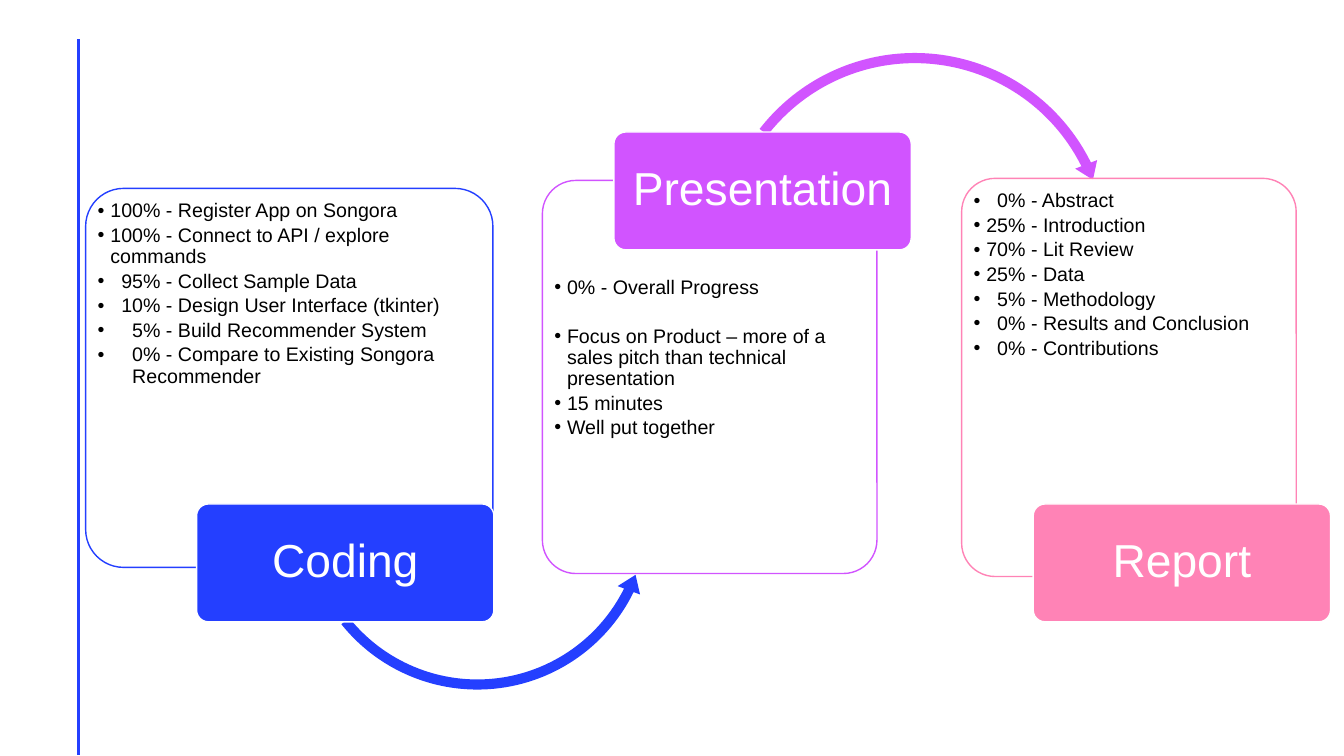
from lxml import etree
from pptx import Presentation
from pptx.dml.color import RGBColor
from pptx.enum.shapes import MSO_CONNECTOR, MSO_SHAPE
from pptx.enum.text import MSO_ANCHOR, MSO_AUTO_SIZE, PP_ALIGN
from pptx.oxml.ns import qn
from pptx.util import Pt

ROUNDED = MSO_SHAPE.ROUNDED_RECTANGLE
ARROW_UNDER = MSO_SHAPE.LEFT_CIRCULAR_ARROW
ARROW_OVER = MSO_SHAPE.CIRCULAR_ARROW
STRAIGHT = MSO_CONNECTOR.STRAIGHT
TOP, MIDDLE = MSO_ANCHOR.TOP, MSO_ANCHOR.MIDDLE
LEFT, CENTER = PP_ALIGN.LEFT, PP_ALIGN.CENTER
NO_AUTOFIT = MSO_AUTO_SIZE.NONE

BLUE = RGBColor(0x24, 0x3F, 0xFF)
PURPLE = RGBColor(0xD1, 0x54, 0xFF)
PINK = RGBColor(0xFF, 0x83, 0xB6)
WHITE = RGBColor(0xFF, 0xFF, 0xFF)
BLACK = RGBColor(0, 0, 0)

# Content: boxes are left, top, width, height in points
STAGES = [
    {"name": "Coding", "color": BLUE,
     "card": (61.2, 134.6, 290.9, 270.7), "list_top": 141.1, "label": (140.4, 360),
     "arrow": (ARROW_UNDER, 211.7, 239, 258.5, (0.028, 3.429, 15.758, 84.819, 0.033)),
     "tasks": ["100% - Register App on Songora",
               "100% - Connect to API / explore commands",
               "95% - Collect Sample Data",
               "10% - Design User Interface (tkinter)",
               "5% - Build Recommender System",
               "0% - Compare to Existing Songora Recommender"]},
    {"name": "Presentation", "color": PURPLE,
     "card": (387.4, 128.9, 239, 280.8), "list_top": 195.8, "label": (438.5, 94.3),
     "arrow": (ARROW_OVER, 508.3, 33.1, 290.2, (0.025, 3.03, 200.168, 130.708, 0.029)),
     "tasks": ["0% - Overall Progress",
               "Focus on Product – more of a sales pitch than technical presentation",
               "15 minutes",
               "Well put together"]},
    {"name": "Report", "color": PINK,
     "card": (686.9, 127.4, 239, 284.4), "list_top": 133.9, "label": (738, 360),
     "arrow": None,
     "tasks": ["0% - Abstract", "25% - Introduction", "70% - Lit Review", "25% - Data",
               "5% - Methodology", "0% - Results and Conclusion", "0% - Contributions"]},
]
NOTES_START = "Focus on Product"  # a gap sets the notes apart from the progress

LABEL_SIZE = (212.4, 84.2)
CARD_PAD = 6.2
LIST_FOOT = 64
HANG = 9
DIGIT_WIDTH = 7.8
NOTES_GAP = 17.3

LIST_FRAME = {"word_wrap": True, "auto_size": NO_AUTOFIT, "vertical_anchor": TOP,
              "margin_left": Pt(2.4), "margin_right": Pt(2.4),
              "margin_top": Pt(2.4), "margin_bottom": Pt(2.4)}
LABEL_FRAME = {"word_wrap": True, "vertical_anchor": MIDDLE,
               "margin_left": Pt(7), "margin_right": Pt(7),
               "margin_top": Pt(6), "margin_bottom": Pt(6)}
TASK_PARAGRAPH = {"alignment": LEFT, "line_spacing": 0.9,
                  "space_before": Pt(0), "space_after": Pt(2.4)}
LABEL_PARAGRAPH = {"alignment": CENTER, "line_spacing": 0.9}
TASK_FONT = {"name": "Arial", "size": Pt(14), "bold": False}
LABEL_FONT = {"name": "Arial", "size": Pt(33)}


def apply(target, values):
    for key, value in values.items():
        setattr(target, key, value)


def add_filled(kind, box, fill, line=None, adjustments=(0.1,)):
    shape = slide.shapes.add_shape(kind, *map(Pt, box))
    shape.shadow.inherit = False
    shape.fill.solid()
    shape.fill.fore_color.rgb = fill
    if line is None:
        shape.line.fill.background()
    else:
        shape.line.color.rgb = line
        shape.line.width = Pt(1)
    for i, value in enumerate(adjustments):
        shape.adjustments[i] = value
    return shape


def write(paragraph, text, layout, font, color):
    apply(paragraph, layout)
    run = paragraph.add_run()
    run.text = text
    apply(run.font, font)
    run.font.color.rgb = color


def add_card(stage):
    card = add_filled(ROUNDED, stage["card"], WHITE, stage["color"])
    white = card.fill._xPr.find(qn("a:solidFill"))[0]
    etree.SubElement(white, qn("a:alpha")).set("val", "90000")


def fill_list(task_list, stage):
    left, top, width, height = stage["card"]
    list_top = stage["list_top"]
    apply(task_list, {"left": Pt(left + CARD_PAD), "top": Pt(list_top),
                      "width": Pt(width - 2 * CARD_PAD),
                      "height": Pt(top + height - LIST_FOOT - list_top)})
    slide.shapes._spTree.append(task_list._element)  # in front of its card
    frame = task_list.text_frame
    apply(frame, LIST_FRAME)
    most_digits = max(task.find("%") for task in stage["tasks"])
    for i, task in enumerate(stage["tasks"]):
        paragraph = frame.add_paragraph() if i else frame.paragraphs[0]
        write(paragraph, task, TASK_PARAGRAPH, TASK_FONT, BLACK)
        if task.startswith(NOTES_START):
            paragraph.space_before = Pt(NOTES_GAP)
        # Shorter percentages are indented so that the % signs line up
        missing = most_digits - task.find("%") if "%" in task else 0
        indent = Pt(HANG + missing * DIGIT_WIDTH)
        properties = paragraph._p.get_or_add_pPr()
        properties.set("marL", str(indent))
        properties.set("indent", str(-indent))
        etree.SubElement(properties, qn("a:buFont")).set("typeface", "Arial")
        etree.SubElement(properties, qn("a:buChar")).set("char", "•")


def add_label(stage):
    label = add_filled(ROUNDED, stage["label"] + LABEL_SIZE, stage["color"], WHITE)
    apply(label.text_frame, LABEL_FRAME)
    write(label.text_frame.paragraphs[0], stage["name"], LABEL_PARAGRAPH, LABEL_FONT, WHITE)


prs = Presentation()
prs.slide_width, prs.slide_height = Pt(960), Pt(540)
slide = prs.slides.add_slide(prs.slide_layouts[4])

# Three placeholders carry the lists, the others go
title, *task_lists, spare = slide.placeholders
for unused in (title, spare):
    unused._element.getparent().remove(unused._element)

# Margin line
margin_line = slide.shapes.add_connector(STRAIGHT, Pt(56.2), Pt(28), Pt(56.2), Pt(539.3))
margin_line.line.color.rgb = BLUE
margin_line.line.width = Pt(2)
etree.SubElement(margin_line._element.spPr, qn("a:effectLst"))

# Stages: card, list, arrow to the next stage, label
for stage, task_list in zip(STAGES, task_lists):
    add_card(stage)
    fill_list(task_list, stage)
    if stage["arrow"]:
        kind, left, top, size, bends = stage["arrow"]
        add_filled(kind, (left, top, size, size), stage["color"], adjustments=bends)
    add_label(stage)

prs.save("out.pptx")
